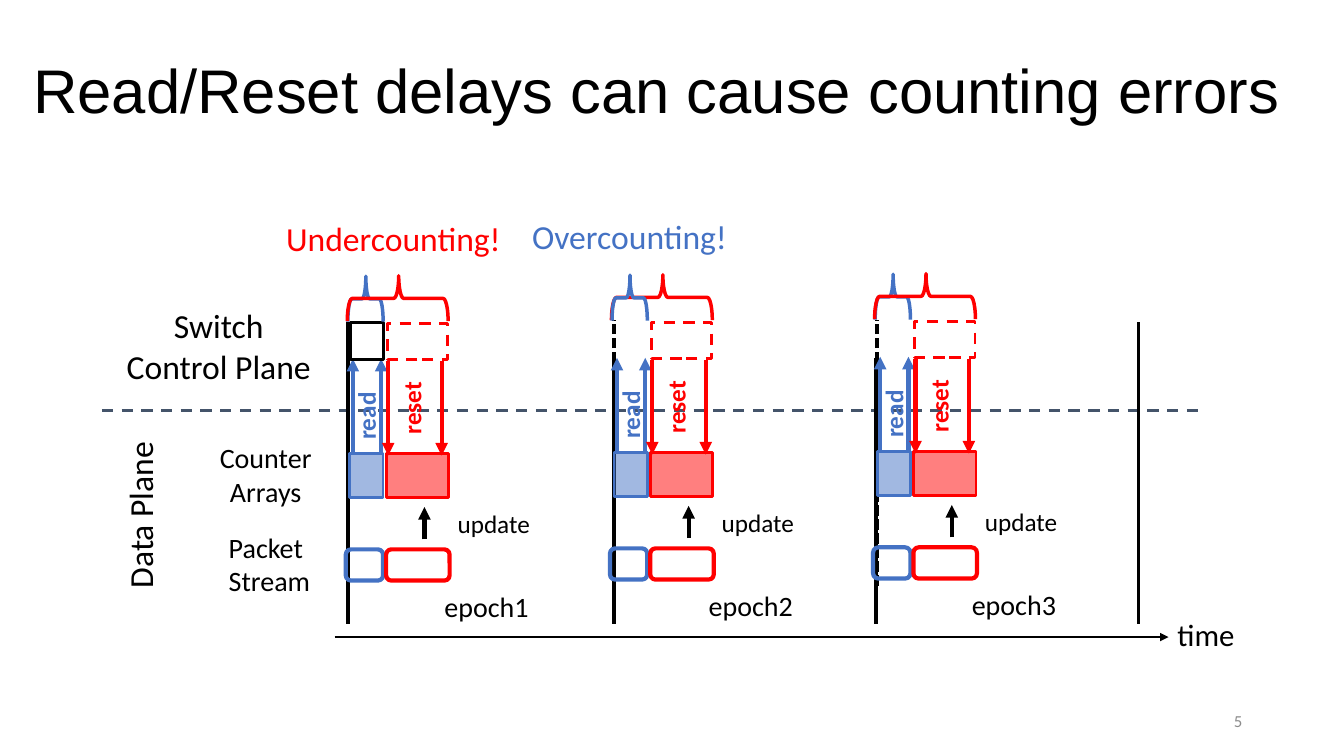
from lxml import etree
from pptx import Presentation, util as u
from pptx.dml.color import RGBColor
from pptx.enum import dml, shapes, text
from pptx.oxml.ns import qn

COLORS = {"black": "000000", "white": "FFFFFF", "read": "4472C4",
          "reset": "FF0000", "divider": "44546A", "number": "8C8C8C"}
DASH = dml.MSO_LINE.DASH
SYS_DASH = dml.MSO_LINE.SQUARE_DOT
KIND = shapes.MSO_SHAPE
LEFT, CENTER, RIGHT = (text.PP_ALIGN.LEFT, text.PP_ALIGN.CENTER,
                       text.PP_ALIGN.RIGHT)


def rgb(name):
    return RGBColor.from_string(COLORS[name])


def style_line(line, color, width, dash=None):
    line.color.rgb = rgb(color)
    line.width = u.Pt(width)
    if dash is not None:
        line.dash_style = dash


def add_line(slide, start, end, color, width, dash=None, arrow=False):
    stroke = slide.shapes.add_connector(
        shapes.MSO_CONNECTOR.STRAIGHT,
        *(u.Inches(value) for value in (*start, *end)))
    style_line(stroke.line, color, width, dash)
    if arrow:
        etree.SubElement(stroke.line._get_or_add_ln(), qn("a:tailEnd"),
                         type="triangle")
    etree.SubElement(stroke._element.spPr, qn("a:effectLst"))


def add_outline(slide, kind, box, color, width, dash=None, fill=None,
                opacity=50):
    outline = slide.shapes.add_shape(kind, *map(u.Inches, box))
    outline.shadow.inherit = False
    style_line(outline.line, color, width, dash)
    if fill is None:
        outline.fill.background()
    else:
        outline.fill.solid()
        outline.fill.fore_color.rgb = rgb(fill)
        tint = outline._element.spPr.find(qn("a:solidFill"))[0]
        etree.SubElement(tint, qn("a:alpha"), val=str(opacity * 1000))
    return outline


def add_brace(slide, box, color):
    brace = add_outline(slide, KIND.RIGHT_BRACE, box, color, 2.5)
    brace.rotation = 270
    brace.adjustments[0] = 0.11
    brace.adjustments[1] = 0.51


def add_label(slide, box, lines, size, color="black", align=LEFT, bold=False,
              rotation=0, font="Calibri", anchor=text.MSO_ANCHOR.TOP,
              spacing=None):
    label = slide.shapes.add_textbox(*map(u.Inches, box))
    label.rotation = rotation
    frame = label.text_frame
    frame.word_wrap = True
    frame.vertical_anchor = anchor
    for index, line in enumerate(lines):
        paragraph = frame.add_paragraph() if index else frame.paragraphs[0]
        paragraph.alignment = align
        if spacing:
            paragraph.line_spacing = spacing
        run = paragraph.add_run()
        run.text = line
        run.font.name = font
        run.font.size = u.Pt(size)
        run.font.bold = bold
        run.font.color.rgb = rgb(color)


def add_epoch(slide, number, dx, dy, brace_order):
    def at(x, y, *size):
        return (round(x + dx, 2), round(y + dy, 2), *size)

    # Name of the epoch and its counter update
    add_label(slide, at(4.31, 5.8, 1.07, 0.44), [f"epoch{number}"], 20)
    add_line(slide, at(4.21, 5.35), at(4.21, 5.03), "black", 3, arrow=True)
    add_label(slide, at(4.44, 4.99, 1.07, 0.4), ["update"], 18)

    # Reads go up to the control plane, resets come down
    for x in (3.5, 3.78):
        add_line(slide, at(x, 4.5), at(x, 3.56), "read", 3, arrow=True)
    for x in (4.38, 3.85):
        add_line(slide, at(x, 3.58), at(x, 4.52), "reset", 3, arrow=True)
    add_label(slide, at(3.29, 3.92, 0.68, 0.4), ["read"], 18, "read",
              bold=True, rotation=270)
    add_label(slide, at(3.69, 3.82, 0.78, 0.4), ["reset"], 18, "reset",
              bold=True, rotation=270)

    # Packet stream and counter arrays
    for color, packet_x, packet_w, array_x, array_w in (
            ("read", 3.43, 0.37, 3.47, 0.33),
            ("reset", 3.83, 0.63, 3.83, 0.62)):
        add_outline(slide, KIND.ROUNDED_RECTANGLE,
                    at(packet_x, 5.45, packet_w, 0.31), color, 3)
        add_outline(slide, KIND.RECTANGLE, at(array_x, 4.5, array_w, 0.44),
                    color, 2, fill=color)

    # Control plane window and delay braces
    add_outline(slide, KIND.RECTANGLE, at(3.84, 3.21, 0.6, 0.36), "reset", 2,
                DASH, "white")
    if number == 1:
        add_outline(slide, KIND.RECTANGLE, at(3.48, 3.2, 0.32, 0.37), "black",
                    2, fill="white", opacity=70)
    braces = {"read": (3.4, 2.79, 0.45, 0.35), "reset": (3.72, 2.46, 0.45, 1)}
    for color in brace_order:
        add_brace(slide, at(*braces[color]), color)


def main():
    deck = Presentation()
    deck.slide_width, deck.slide_height = u.Inches(13.33), u.Inches(7.5)
    slide = deck.slides.add_slide(deck.slide_layouts[6])

    # Title and slide number
    add_label(slide, (0.23, 0.2, 12.71, 1.45),
              ["Read/Reset delays can cause counting errors"], 44,
              font="Arial", anchor=text.MSO_ANCHOR.MIDDLE, spacing=0.9)
    add_label(slide, (9.42, 6.95, 3, 0.4), ["5"], 12, "number", RIGHT,
              anchor=text.MSO_ANCHOR.MIDDLE)

    # Plane divider and epoch boundaries
    add_line(slide, (1.01, 4.07), (11.92, 4.07), "divider", 2, DASH)
    for x in (6.09, 8.7):
        add_line(slide, (x, 5.81), (x, 3.17), "black", 2.5, SYS_DASH)
    for x, top in ((3.45, 3.19), (6.09, 3.58), (8.69, 3.55), (11.29, 3.19)):
        add_line(slide, (x, 6.19), (x, top), "black", 2.5)

    # Row labels
    add_label(slide, (1.36, 4.32, 2.55, 0.77), ["Counter", "Arrays"], 20,
              align=CENTER)
    add_label(slide, (2.17, 5.21, 1.14, 0.77), ["Packet", "Stream"], 20)
    add_label(slide, (0.43, 4.86, 1.91, 0.5), ["Data Plane"], 24,
              align=CENTER, rotation=270)
    add_label(slide, (1.09, 2.98, 2.16, 0.91), ["Switch", "Control Plane"],
              24, align=CENTER)

    # Epochs
    for number, dx, dy, brace_order in (
            (1, 0, 0, ("read", "reset")),
            (2, 2.62, -0.01, ("reset", "read")),
            (3, 5.23, -0.02, ("read", "reset"))):
        add_epoch(slide, number, dx, dy, brace_order)

    # Time axis
    add_line(slide, (3.32, 6.32), (11.59, 6.32), "black", 2, arrow=True)
    add_label(slide, (11.58, 6.06, 1.07, 0.47), ["time"], 22)

    # Counting errors
    add_label(slide, (2.74, 2.11, 2.43, 0.5), ["Undercounting!"], 24, "reset")
    add_label(slide, (5.18, 2.09, 2.43, 0.5), ["Overcounting!"], 24, "read")

    deck.save("out.pptx")


if __name__ == "__main__":
    main()
